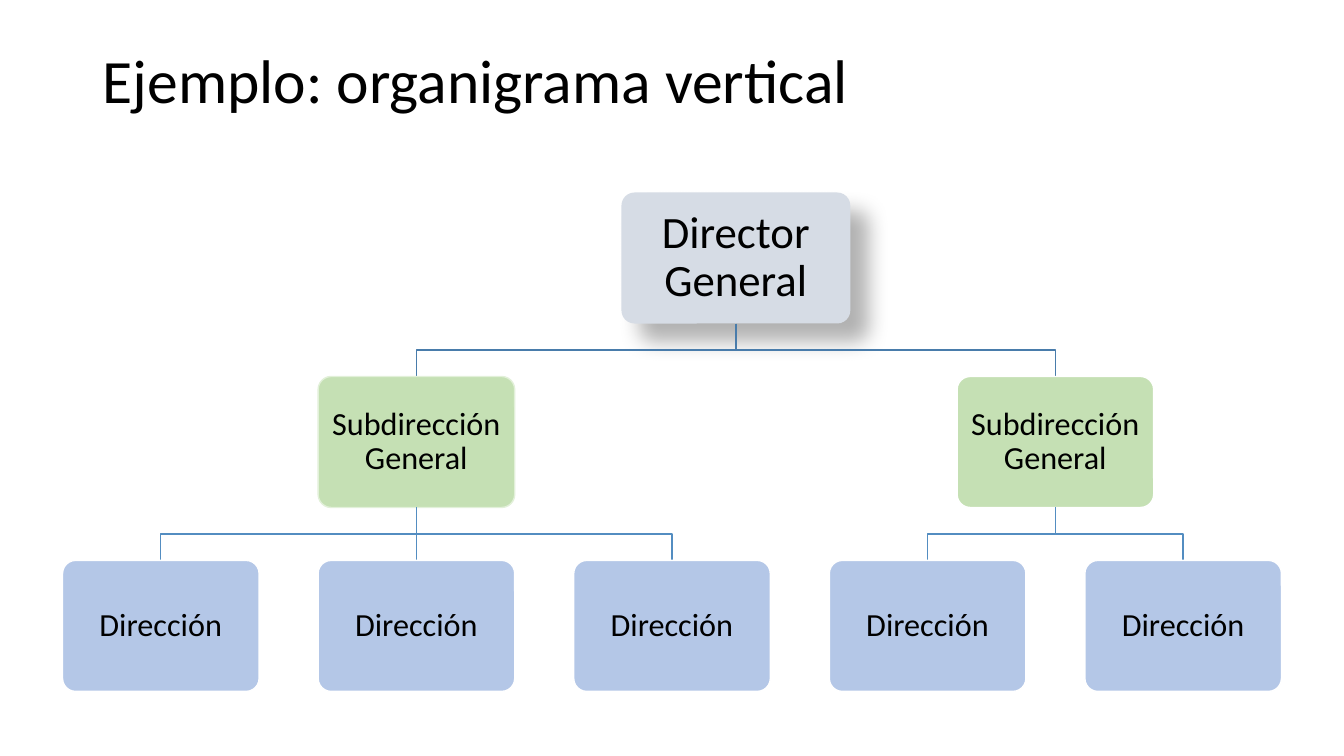
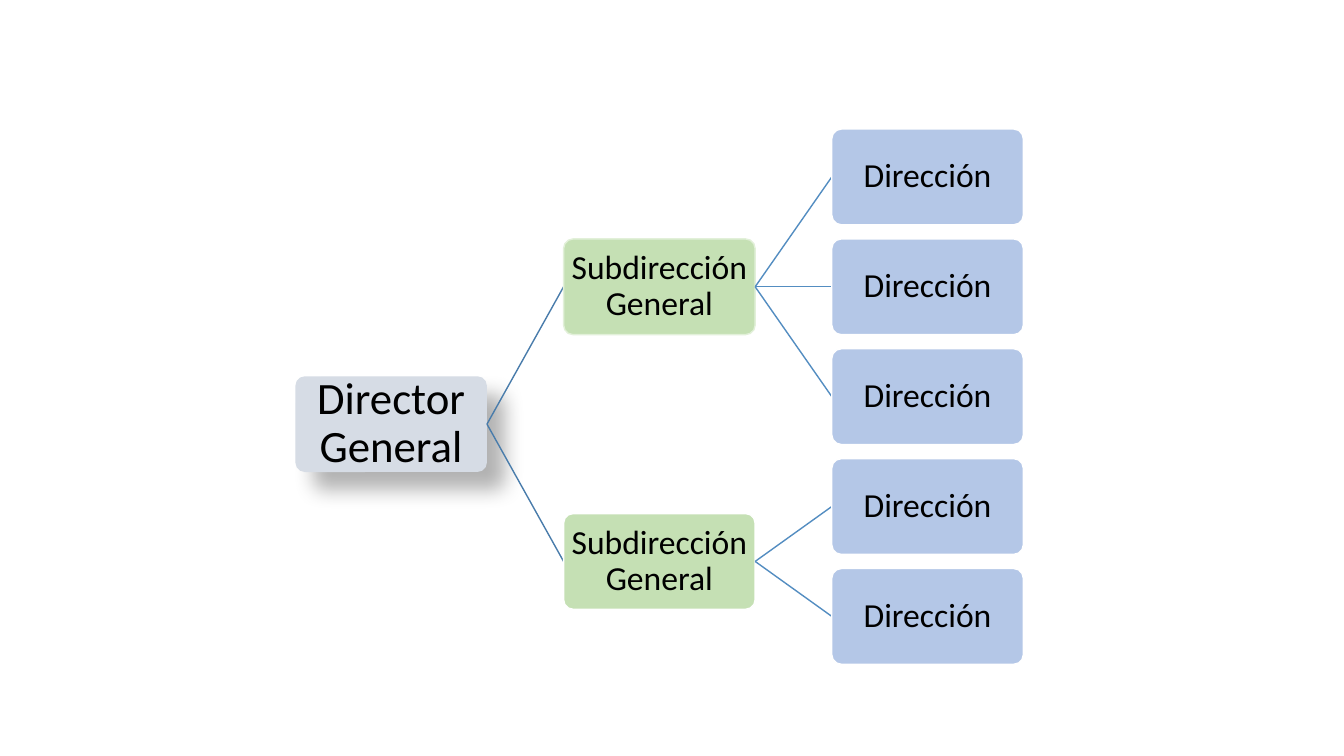
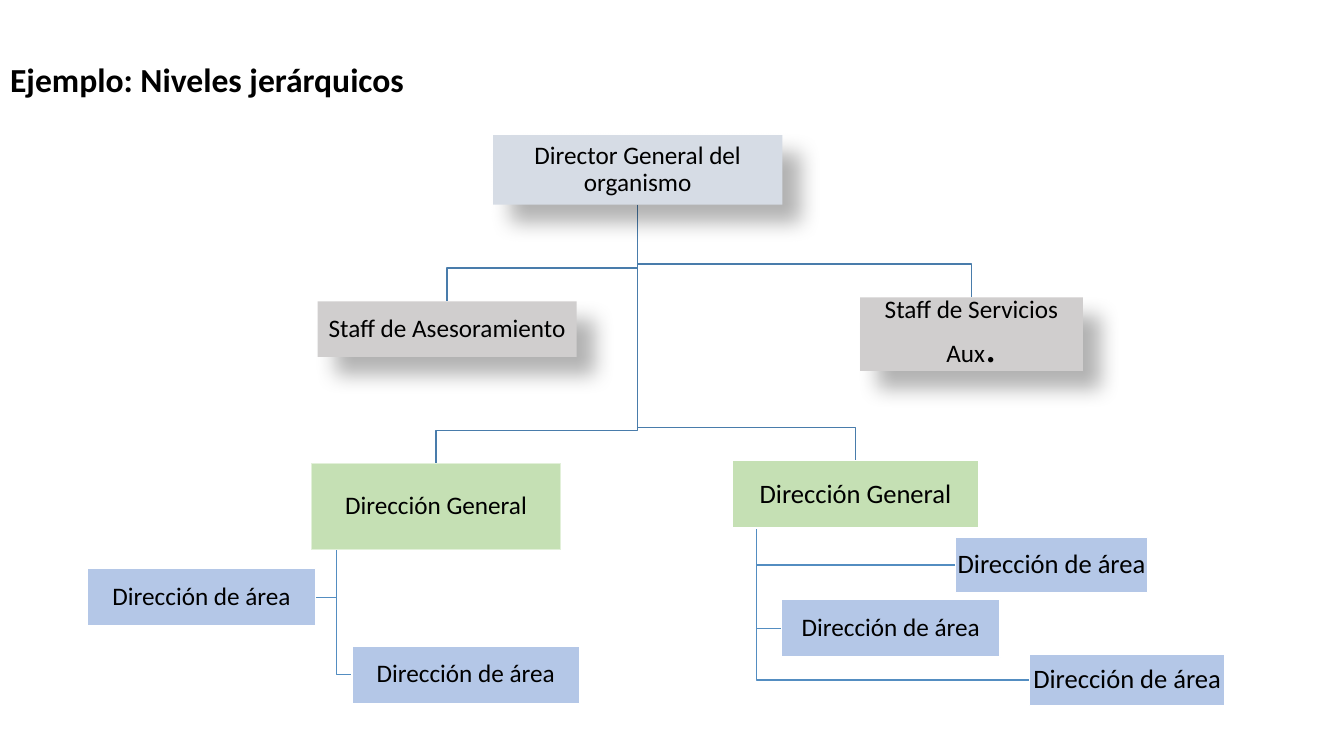
from dataclasses import dataclass

from lxml.etree import SubElement
from pptx import Presentation
from pptx.dml.color import RGBColor
from pptx.enum.shapes import MSO_CONNECTOR, MSO_SHAPE
from pptx.enum.text import MSO_ANCHOR, MSO_AUTO_SIZE, PP_ALIGN
from pptx.oxml.ns import qn
from pptx.util import Inches, Pt

FONT = "Calibri"
BLACK = RGBColor(0x00, 0x00, 0x00)
WHITE = RGBColor(0xFF, 0xFF, 0xFF)
PALE_GREEN = RGBColor(0xE2, 0xF0, 0xD9)
DIRECTOR = RGBColor(0xD6, 0xDC, 0xE5)
STAFF = RGBColor(0xD0, 0xCE, 0xCE)
DIVISION = RGBColor(0xC5, 0xE0, 0xB4)
AREA = RGBColor(0xB4, 0xC7, 0xE7)
UPPER_LINK = RGBColor(0x49, 0x7C, 0xAB)
LOWER_LINK = RGBColor(0x53, 0x8D, 0xC1)

TITLE_ONLY, BLANK = 5, 6
TEAMS = ((0, 1, 2), (3, 4))
DIVISION_OUTLINES = (PALE_GREEN, WHITE)


@dataclass
class Box:
    """A rectangle measured in inches."""
    left: float
    top: float
    width: float
    height: float

    @property
    def right(self):
        """Return the right edge."""
        return self.left + self.width

    @property
    def bottom(self):
        """Return the bottom edge."""
        return self.top + self.height

    @property
    def center(self):
        """Return the horizontal centre."""
        return self.left + self.width / 2

    @property
    def middle(self):
        """Return the vertical centre."""
        return self.top + self.height / 2

    def inner(self, left, top, width, height):
        """Return a box placed relative to this one."""
        return Box(self.left + left, self.top + top, width, height)

    def lengths(self):
        """Return position and size as slide lengths."""
        return [Inches(value) for value in (self.left, self.top, self.width, self.height)]


def mean(values):
    """Return the average of the values."""
    values = list(values)
    return sum(values) / len(values)


def format_span(span, size, bold=False):
    """Apply the common font to a run."""
    span.font.name = FONT
    span.font.size = Pt(size)
    span.font.bold = bold
    span.font.color.rgb = BLACK


def write_title(page, box, text, size, bold=False):
    """Place and format the title placeholder."""
    title = page.shapes.title
    title.left, title.top, title.width, title.height = box.lengths()
    frame = title.text_frame
    frame.text = text
    frame.auto_size = MSO_AUTO_SIZE.NONE
    frame.word_wrap = True
    frame.vertical_anchor = MSO_ANCHOR.MIDDLE
    para = frame.paragraphs[0]
    para.alignment = PP_ALIGN.LEFT
    para.line_spacing = 0.9
    format_span(para.runs[0], size, bold)


def cast_shadow(shape):
    """Give a shape a soft shadow down to the right."""
    effects = shape.element.spPr.find(qn("a:effectLst"))
    shadow = SubElement(effects, qn("a:outerShdw"), blurRad=str(Pt(15)), dist=str(Pt(18)),
                        dir="2700000", algn="tl", rotWithShape="0")
    color = SubElement(shadow, qn("a:srgbClr"), val=str(BLACK))
    SubElement(color, qn("a:alpha"), val="30000")


def add_node(page, box, text, size, fill, outline=None, rounded=False, inset=0.01):
    """Draw one labelled unit; units without outline cast a shadow."""
    kind = MSO_SHAPE.ROUNDED_RECTANGLE if rounded else MSO_SHAPE.RECTANGLE
    node = page.shapes.add_shape(kind, *box.lengths())
    if rounded:
        node.adjustments[0] = 0.1
    node.fill.solid()
    node.fill.fore_color.rgb = fill
    node.shadow.inherit = False
    if outline is None:
        node.line.fill.background()
        cast_shadow(node)
    else:
        node.line.color.rgb = outline
        node.line.width = Pt(1)
    frame = node.text_frame
    frame.text = text
    frame.word_wrap = True
    frame.vertical_anchor = MSO_ANCHOR.MIDDLE
    frame.margin_left = frame.margin_right = Inches(inset)
    frame.margin_top = frame.margin_bottom = Inches(inset)
    para = frame.paragraphs[0]
    para.alignment = PP_ALIGN.CENTER
    para.line_spacing = 0.9
    format_span(para.runs[0], size)
    return node


def add_link(page, points, color):
    """Draw a straight connector or a bent line through the points."""
    corners = [(Inches(x), Inches(y)) for x, y in points]
    if len(corners) == 2:
        link = page.shapes.add_connector(MSO_CONNECTOR.STRAIGHT, *corners[0], *corners[1])
        SubElement(link.element.spPr, qn("a:effectLst"))
    else:
        builder = page.shapes.build_freeform(*corners[0])
        builder.add_line_segments(corners[1:], close=False)
        link = builder.convert_to_shape()
        link.fill.background()
        link.shadow.inherit = False
    link.line.color.rgb = color
    link.line.width = Pt(1)


def link_down(page, parent, child, color, rise):
    """Link a parent to a child below, bending above the child."""
    start, end = (parent.center, parent.bottom), (child.center, child.top)
    bend = child.top - rise
    if abs(parent.center - child.center) < 0.01:
        add_link(page, [start, end], color)
    else:
        add_link(page, [start, (start[0], bend), (end[0], bend), end], color)


def link_across(page, parent, child, color):
    """Link a parent to a child on its right."""
    add_link(page, [(parent.right, parent.middle), (child.left, child.middle)], color)


def draw_tree(page, director, divisions, areas, size, inset, link):
    """Draw three levels of rounded units joined by the given link."""
    style = {"rounded": True, "inset": inset}
    add_node(page, director, "Director General", 32, DIRECTOR, **style)
    for division, team, outline in zip(divisions, TEAMS, DIVISION_OUTLINES):
        link(page, director, division, UPPER_LINK)
        add_node(page, division, "Subdirección General", size, DIVISION, outline, **style)
        for member in team:
            link(page, division, areas[member], LOWER_LINK)
            add_node(page, areas[member], "Dirección", size, AREA, WHITE, **style)


def vertical_chart(page, box):
    """Lay the tree out from top to bottom."""
    width, height, director_width = 1.95, 1.3, 2.27
    column = (box.width - width) / 4
    level = (box.height - height) / 2
    areas = [box.inner(column * index, level * 2, width, height) for index in range(5)]
    divisions = [Box(mean(areas[member].left for member in team), box.top + level, width, height)
                 for team in TEAMS]
    center = mean(division.center for division in divisions)
    director = Box(center - director_width / 2, box.top, director_width, height)

    def link(page, parent, child, color):
        """Bend halfway between the levels."""
        link_down(page, parent, child, color, (level - height) / 2)

    draw_tree(page, director, divisions, areas, 23, 0.09, link)


def horizontal_chart(page, box):
    """Lay the tree out from left to right."""
    width, height = 1.9, 0.95
    row = (box.height - height) / 4
    level = (box.width - width) / 2
    areas = [box.inner(level * 2, row * index, width, height) for index in range(5)]
    divisions = [Box(box.left + level, mean(areas[member].top for member in team), width, height)
                 for team in TEAMS]
    director = Box(box.left, mean(division.top for division in divisions), width, height)
    draw_tree(page, director, divisions, areas, 24, 0.02, link_across)


def area_branch(page, division, size, outline, areas):
    """Draw a division with its areas hanging from a spine."""
    spine = division.left + division.width / 10
    placed = [(division.inner(*place), area_size) for place, area_size in areas]
    for area, _ in placed:
        edge = area.left if area.left > spine else area.right
        add_link(page, [(spine, division.bottom), (spine, area.middle), (edge, area.middle)],
                 LOWER_LINK)
    add_node(page, division, "Dirección General", size, DIVISION, outline)
    for area, area_size in placed:
        add_node(page, area, "Dirección de área", area_size, AREA, WHITE)


def levels_chart(page, box):
    """Draw the director, the staff units and two branches."""
    director = box.inner(4.02, 0, 2.87, 0.69)
    advisers = box.inner(2.28, 1.65, 2.57, 0.55)
    services = box.inner(7.66, 1.61, 2.21, 0.73)
    left_division = box.inner(2.22, 3.26, 2.47, 0.85)
    right_division = box.inner(6.39, 3.23, 2.45, 0.67)
    for unit in (right_division, left_division, services, advisers):
        link_down(page, director, unit, UPPER_LINK, 0.33)
    add_node(page, director, "Director General del organismo", 18, DIRECTOR)
    add_node(page, advisers, "Staff de Asesoramiento", 18, STAFF)
    node = add_node(page, services, "Staff de Servicios Aux", 18, STAFF)
    span = node.text_frame.paragraphs[0].add_run()
    span.text = "."
    format_span(span, 32)
    area_branch(page, left_division, 18, PALE_GREEN, [
        ((-2.22, 1.04, 2.26, 0.57), 18),
        ((0.4, 1.81, 2.26, 0.57), 18),
    ])
    area_branch(page, right_division, 19, WHITE, [
        ((2.22, 0.76, 1.9, 0.55), 19),
        ((2.95, 1.92, 1.94, 0.51), 19),
        ((0.49, 1.38, 2.17, 0.57), 18),
    ])


def build():
    """Build and save the deck."""
    deck = Presentation()
    deck.slide_width, deck.slide_height = Inches(13.33), Inches(7.5)
    layouts = deck.slide_layouts

    page = deck.slides.add_slide(layouts[TITLE_ONLY])
    write_title(page, Box(0.92, 0.4, 11.5, 0.86), "Ejemplo: organigrama vertical", 44)
    vertical_chart(page, Box(0.62, 1.91, 12.09, 4.95))

    page = deck.slides.add_slide(layouts[BLANK])
    horizontal_chart(page, Box(2.93, 1.28, 7.22, 5.31))

    page = deck.slides.add_slide(layouts[TITLE_ONLY])
    write_title(page, Box(0, 0.56, 4.15, 0.5), "Ejemplo: Niveles jerárquicos", 24, bold=True)
    levels_chart(page, Box(0.87, 1.34, 11.28, 5.66))

    deck.save("out.pptx")


build()
